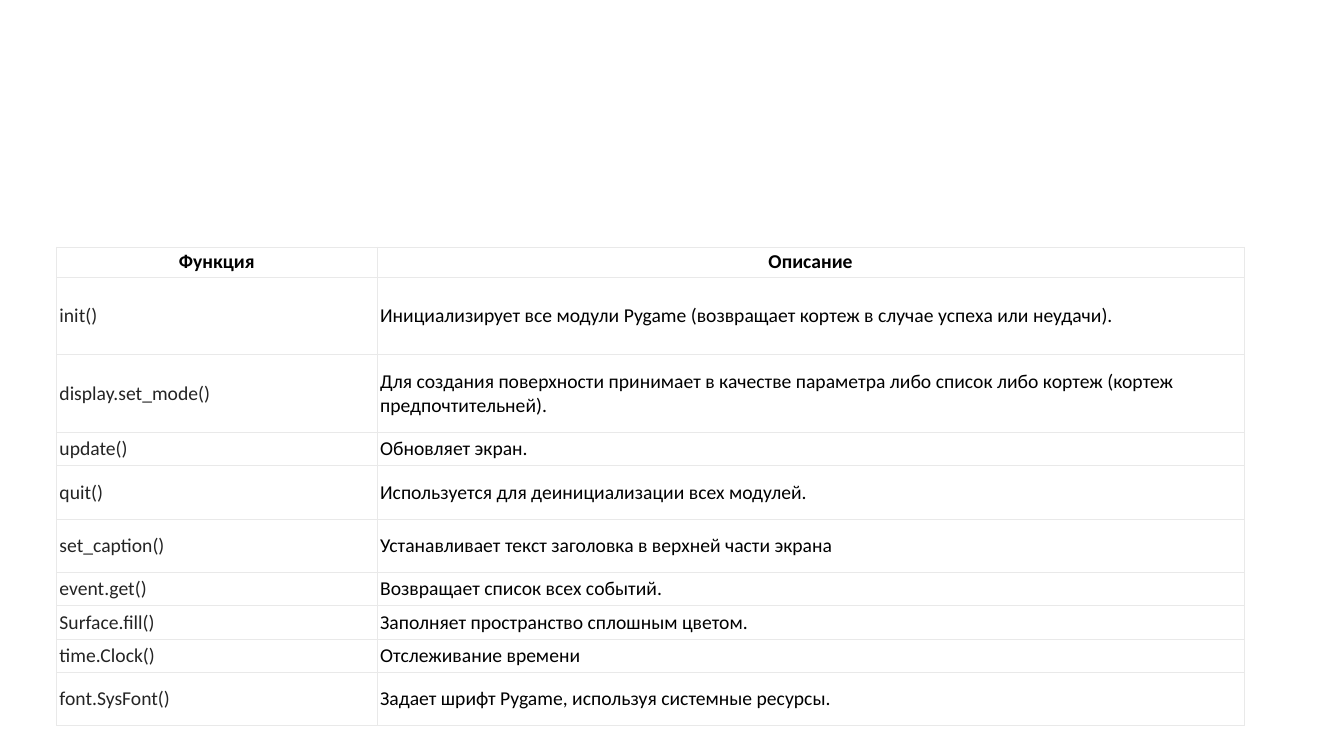
from dataclasses import dataclass

from lxml import etree
from pptx import Presentation
from pptx import util as u
from pptx.dml import color
from pptx.enum import text
from pptx.oxml import ns


@dataclass(frozen=True)
class Theme:
    font: str = "Calibri"
    size: float = 14
    ink: str = "000000"
    function_ink: str = "242424"
    paper: str = "FFFFFF"
    border: str = "E9E9E9"
    border_width: float = 0.6
    cell_margin: float = 0.03


THEME = Theme()
HEADERS = ("Функция", "Описание")
HEADER_HEIGHT = 0.3
FUNCTION_SHARE = 0.27  # part of the table width given to function names

# Row height, function, description
FUNCTIONS = [
    (0.77, "init()", "Инициализирует все модули Pygame (возвращает кортеж в случае успеха или неудачи)."),
    (0.77, "display.set_mode()", "Для создания поверхности принимает в качестве параметра "
     "либо список либо кортеж (кортеж предпочтительней)."),
    (0.33, "update()", "Обновляет экран."),
    (0.53, "quit()", "Используется для деинициализации всех модулей."),
    (0.53, "set_caption()", "Устанавливает текст заголовка в верхней части экрана"),
    (0.33, "event.get()", "Возвращает список всех событий."),
    (0.33, "Surface.fill()", "Заполняет пространство сплошным цветом."),
    (0.33, "time.Clock()", "Отслеживание времени"),
    (0.53, "font.SysFont()", "Задает шрифт Pygame, используя системные ресурсы."),
]


def write_text(frame, content, ink=THEME.ink, bold=False, align=text.PP_ALIGN.LEFT):
    frame.word_wrap = True
    paragraph = frame.paragraphs[0]
    paragraph.alignment = align
    run = paragraph.add_run()
    run.text = content
    run.font.name = THEME.font
    run.font.size = u.Pt(THEME.size)
    run.font.bold = bold
    run.font.color.rgb = color.RGBColor.from_string(ink)


def style_cell(cell):
    margin = u.Inches(THEME.cell_margin)
    cell.margin_left = cell.margin_right = margin
    cell.margin_top = cell.margin_bottom = margin
    cell.vertical_anchor = text.MSO_ANCHOR.MIDDLE

    # Borders come before the fill in the cell properties
    properties = cell._tc.get_or_add_tcPr()
    for side in ("a:lnL", "a:lnR", "a:lnT", "a:lnB"):
        line = etree.SubElement(properties, ns.qn(side), w=str(u.Pt(THEME.border_width)))
        fill = etree.SubElement(line, ns.qn("a:solidFill"))
        etree.SubElement(fill, ns.qn("a:srgbClr"), val=THEME.border)
    cell.fill.solid()
    cell.fill.fore_color.rgb = color.RGBColor.from_string(THEME.paper)


def add_function_table(slide, left, top, width):
    heights = [HEADER_HEIGHT] + [height for height, _, _ in FUNCTIONS]
    shape = slide.shapes.add_table(len(heights), len(HEADERS), u.Inches(left), u.Inches(top),
                                   u.Inches(width), u.Inches(sum(heights)))
    table = shape.table
    table.horz_banding = False
    for column, share in zip(table.columns, (FUNCTION_SHARE, 1 - FUNCTION_SHARE)):
        column.width = u.Inches(width * share)
    for row, height in zip(table.rows, heights):
        row.height = u.Inches(height)
    for cell in table.iter_cells():
        style_cell(cell)

    # Header row
    for cell, header in zip(table.rows[0].cells, HEADERS):
        write_text(cell.text_frame, header, bold=True, align=text.PP_ALIGN.CENTER)

    # One row for each function
    for index, (_, function, description) in enumerate(FUNCTIONS, start=1):
        write_text(table.cell(index, 0).text_frame, function, ink=THEME.function_ink)
        write_text(table.cell(index, 1).text_frame, description)


def main():
    presentation = Presentation()
    presentation.slide_width = u.Inches(13.33)
    presentation.slide_height = u.Inches(7.5)
    slide = presentation.slides.add_slide(presentation.slide_layouts[6])
    add_function_table(slide, left=0.56, top=2.45, width=11.78)
    presentation.save("out.pptx")


if __name__ == "__main__":
    main()
